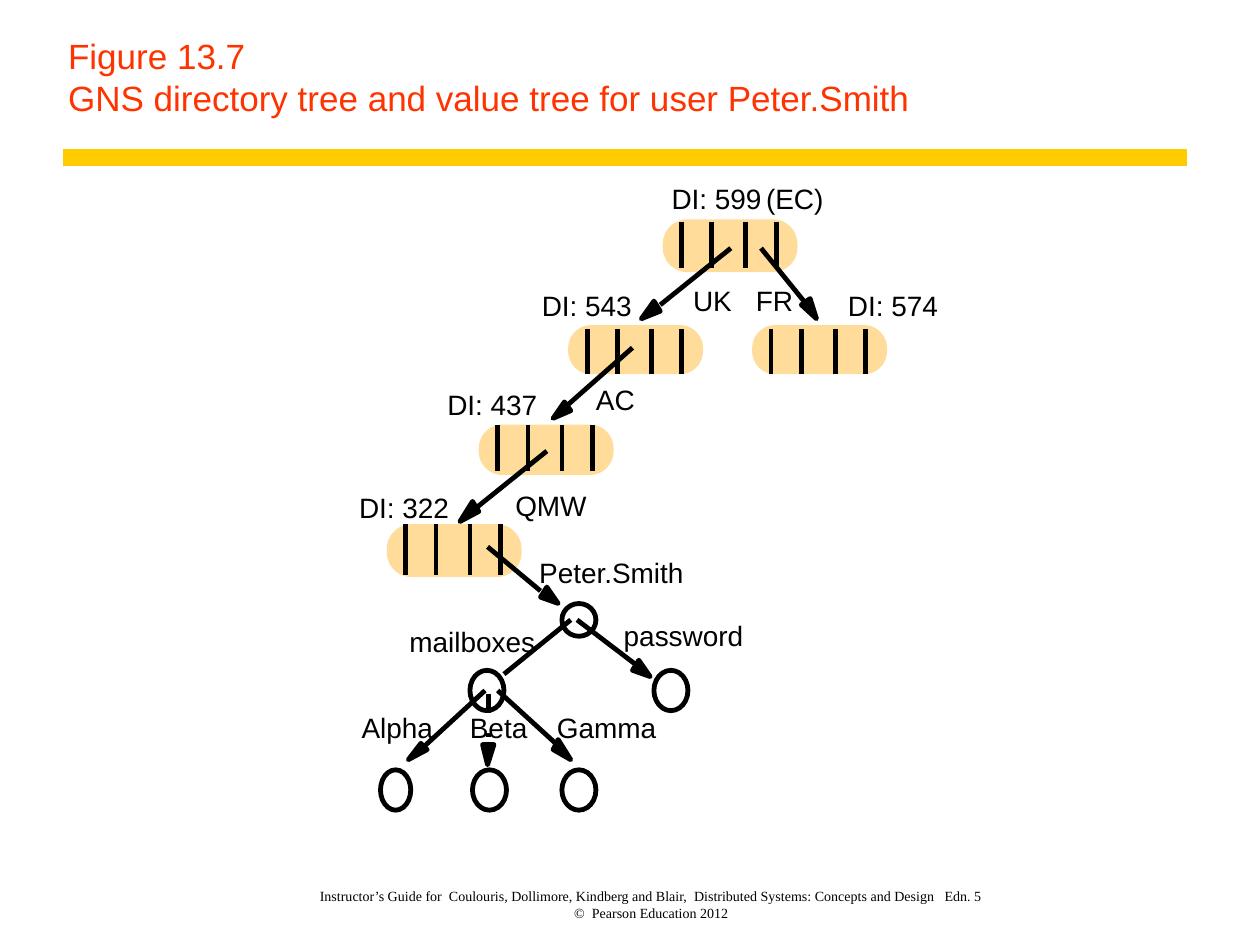
from lxml.etree import SubElement
from pptx import Presentation
from pptx.dml.color import RGBColor
from pptx.enum.shapes import MSO_CONNECTOR as LINE, MSO_SHAPE as SHAPE
from pptx.enum.text import MSO_ANCHOR as ANCHOR, MSO_AUTO_SIZE as AUTOSIZE, PP_ALIGN as ALIGN
from pptx.oxml.ns import qn
from pptx.util import Inches, Pt

STROKE = 2.75
BLACK, WHITE, PEACH = "000000", "FFFFFF", "FFDC99"


def color(hex_code):
    """Turn a hex string into a colour."""
    return RGBColor.from_string(hex_code)


def write(frame, text, size=16, font="Arial", ink=BLACK, align=ALIGN.LEFT, anchor=ANCHOR.TOP,
          insets=(0, 0, 0, 0), wrap=False, indent=0):
    """Fill a text frame with one formatted paragraph."""
    frame.auto_size = AUTOSIZE.NONE
    frame.word_wrap = wrap
    frame.vertical_anchor = anchor
    frame.margin_left, frame.margin_top, frame.margin_right, frame.margin_bottom = map(Inches, insets)
    paragraph = frame.paragraphs[0]
    paragraph.text = text
    paragraph.alignment = align
    properties = paragraph._p.get_or_add_pPr()
    properties.set("marL", str(Inches(indent)))
    properties.set("indent", "0")
    for run in paragraph.runs:
        run.font.size, run.font.name = Pt(size), font
        run.font.color.rgb = color(ink)


def add_label(slide, left, top, width, text):
    """Place a diagram label."""
    write(slide.shapes.add_textbox(*map(Inches, (left, top, width, 0.27))).text_frame, text)


def add_line(slide, start, end, width=STROKE, ink=BLACK):
    """Draw a straight line between two points."""
    line = slide.shapes.add_connector(LINE.STRAIGHT, *map(Inches, (*start, *end)))
    line.line.width = Pt(width)
    line.line.color.rgb = color(ink)
    SubElement(line._element.spPr, qn("a:effectLst"))


def paint(shape, fill, outline=None):
    """Set the fill and outline of a shape."""
    shape.shadow.inherit = False
    shape.fill.solid()
    shape.fill.fore_color.rgb = color(fill)
    if outline:
        shape.line.color.rgb = color(outline)
        shape.line.width = Pt(STROKE)
    else:
        shape.line.fill.background()


def add_arrow(slide, box, tail, neck, wings, tip):
    """Draw a shaft from tail to neck and a solid head ending at the tip."""
    left, top = box

    def shift(point):
        """Move a point into the box."""
        return left + point[0], top + point[1]

    add_line(slide, shift(tail), shift(neck))
    first, *others = [tuple(map(Inches, shift(point))) for point in (wings[0], tip, wings[1])]
    head = slide.shapes.build_freeform(*first)
    head.add_line_segments(others, close=True)
    paint(head.convert_to_shape(), BLACK, BLACK)


def add_directory(slide, left, top, height, tick_offset, tick_height):
    """Draw one directory node with its four entry bars."""
    node = slide.shapes.add_shape(SHAPE.ROUNDED_RECTANGLE, *map(Inches, (left, top, 1.07, height)))
    node.adjustments[0] = 0.47
    paint(node, PEACH)
    tick_top = top + tick_offset
    for offset in (0.15, 0.39, 0.66, 0.9):
        add_line(slide, (left + offset, tick_top), (left + offset, tick_top + tick_height))


def add_value_node(slide, left, top, width=0.27, height=0.32):
    """Draw one value node."""
    paint(slide.shapes.add_shape(SHAPE.OVAL, *map(Inches, (left, top, width, height))), WHITE, BLACK)


def add_header(slide, left, top):
    """Place the title and the rule under it."""
    title = slide.shapes.title
    title.left, title.top, title.width, title.height = map(Inches, (left, top, 8.97, 1))
    write(title.text_frame, "Figure 13.7\vGNS directory tree and value tree for user Peter.Smith",
          size=20, ink="FF3300", anchor=ANCHOR.BOTTOM, insets=(0.06, 0.06, 0.14, 0.06),
          wrap=True, indent=0.04)
    add_line(slide, (left + 0.06, top + 1.25), (left + 8.98, top + 1.25), width=10, ink="FFCC00")


def add_directory_tree(slide, left, top):
    """Draw the directory nodes, their links and labels."""
    directories = [
        (2.46, 0.34, 0.42, 0.02, 0.37),
        (1.71, 1.18, 0.39, 0.03, 0.36),
        (3.17, 1.18, 0.39, 0.03, 0.36),
        (1, 1.97, 0.4, 0, 0.37),
        (0.27, 2.76, 0.42, 0, 0.4),
    ]
    links = [
        ((3, 0.57), (2.44, 1.02), ((2.44, 1.07), (2.39, 0.99)), (2.29, 1.13)),
        ((3.24, 0.57), (3.58, 0.99), ((3.63, 0.97), (3.56, 1.02)), (3.68, 1.13)),
        ((2.22, 1.36), (1.71, 1.81), ((1.73, 1.86), (1.68, 1.79)), (1.59, 1.92)),
        ((1.54, 2.18), (0.98, 2.63), ((1, 2.66), (0.95, 2.58)), (0.85, 2.74)),
    ]
    labels = [
        (2.53, 0.04, 0.78, "DI: 599"), (3.28, 0.04, 0.46, "(EC)"),
        (1.5, 0.89, 0.72, "DI: 543"), (3.93, 0.89, 0.72, "DI: 574"),
        (0.75, 1.68, 0.72, "DI: 437"), (0.05, 2.49, 0.72, "DI: 322"),
        (2.7, 0.85, 0.31, "UK"), (3.2, 0.85, 0.3, "FR"),
        (1.93, 1.64, 0.31, "AC"), (1.29, 2.48, 0.57, "QMW"),
    ]
    for x, y, *sizes in directories:
        add_directory(slide, left + x, top + y, *sizes)
    for link in links:
        add_arrow(slide, (left, top), *link)
    for x, y, width, text in labels:
        add_label(slide, left + x, top + y, width, text)


def add_value_tree(slide, left, top):
    """Draw the value tree of the user, with its links and labels."""
    nodes = [(0.93, 1.02), (2.39, 1.02), (0.22, 1.81, 0.24), (0.95, 1.81), (1.66, 1.81)]
    links = [
        ((1.07, 0.04), (1.49, 0.39), ((1.54, 0.36), (1.49, 0.44)), (1.63, 0.49)),
        ((1.78, 0.62), (2.24, 0.97), ((2.27, 0.94), (2.22, 1.02)), (2.36, 1.07)),
        ((1.05, 1.18), (0.56, 1.63), ((0.59, 1.65), (0.54, 1.6)), (0.44, 1.73)),
        ((1.08, 1.21), (1.08, 1.55), ((1.12, 1.61), (1.03, 1.61)), (1.07, 1.77)),
        ((1.15, 1.18), (1.61, 1.6), ((1.63, 1.57), (1.59, 1.65)), (1.73, 1.73)),
    ]
    labels = [
        (1.48, 0.11, 1.16, "Peter.Smith"), (0.45, 0.66, 1, "mailboxes"),
        (2.15, 0.61, 0.95, "password"), (0.07, 1.34, 0.57, "Alpha"),
        (0.93, 1.34, 0.46, "Beta"), (1.62, 1.34, 0.79, "Gamma"),
    ]
    add_value_node(slide, left + 1.66, top + 0.49, height=0.26)
    add_line(slide, (left + 1.2, top + 1.05), (left + 1.73, top + 0.62))
    for x, y, *width in nodes:
        add_value_node(slide, left + x, top + y, *width)
    for link in links:
        add_arrow(slide, (left, top), *link)
    beta_backing = slide.shapes.add_shape(
        SHAPE.RECTANGLE, *map(Inches, (left + 0.88, top + 1.36, 0.41, 0.16)))
    paint(beta_backing, WHITE)
    for x, y, width, text in labels:
        add_label(slide, left + x, top + y, width, text)


def add_footer(slide, left, top):
    """Place the source and copyright lines."""
    footer = slide.shapes.add_textbox(*map(Inches, (left, top, 6.08, 0.39)))
    write(footer.text_frame,
          "Instructor’s Guide for  Coulouris, Dollimore, Kindberg and Blair,  "
          "Distributed Systems: Concepts and Design   Edn. 5\v©  Pearson Education 2012",
          size=8, font="Times New Roman", align=ALIGN.CENTER, anchor=ANCHOR.BOTTOM,
          insets=(0, 0, 0.04, 0), wrap=True, indent=0.04)


def main():
    """Build the slide and save it."""
    deck = Presentation()
    deck.slide_width, deck.slide_height = Inches(10), Inches(7.5)
    slide = deck.slides.add_slide(deck.slide_layouts[5])
    add_header(slide, 0.44, 0)
    add_directory_tree(slide, 2.8, 1.4)
    add_value_tree(slide, 2.8, 4.3)
    add_footer(slide, 2.13, 6.92)
    deck.save("out.pptx")


if __name__ == "__main__":
    main()
